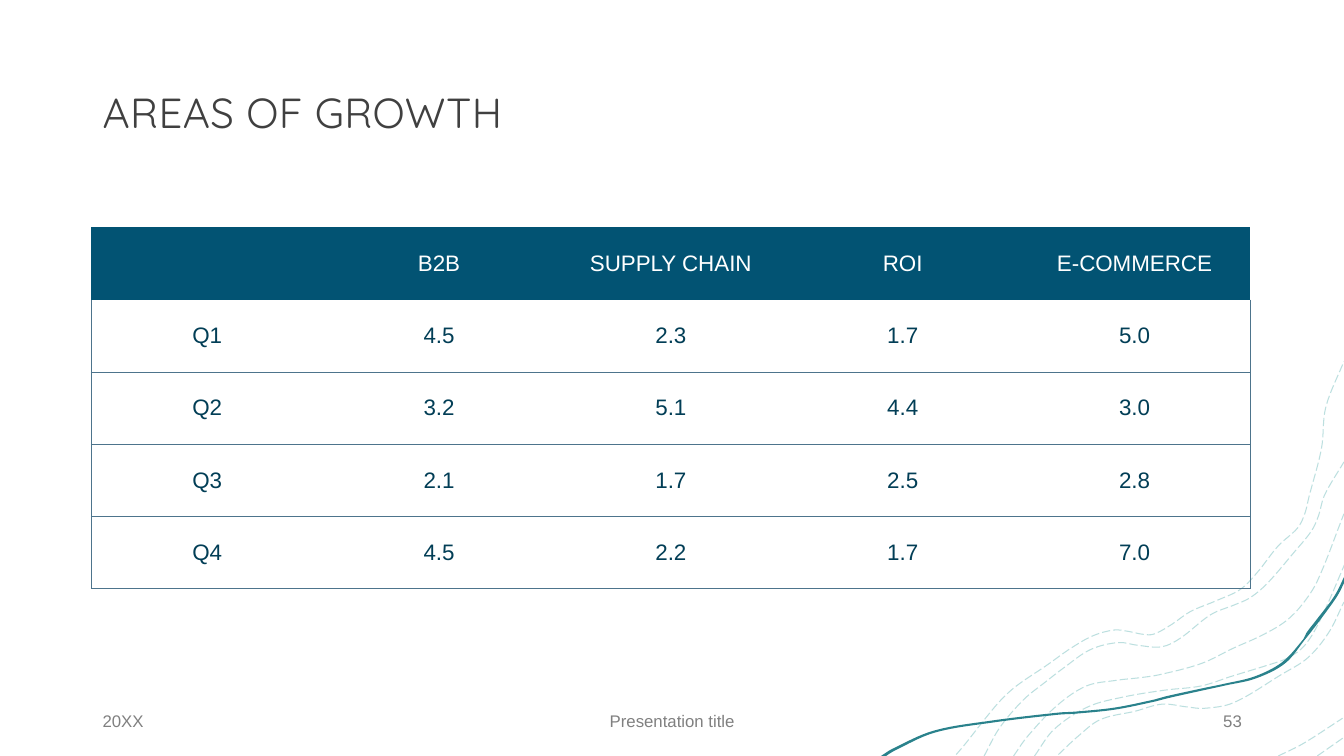
from math import dist
from lxml.etree import SubElement
from pptx import Presentation
from pptx.dml.color import RGBColor
from pptx.enum.dml import MSO_LINE
from pptx.enum.text import MSO_ANCHOR as Anchor, PP_ALIGN as Align
from pptx.oxml.ns import qn
from pptx.util import Pt

# Content
TITLE = "AREAS OF GROWTH"
TABLE = [
    ("", "B2B", "SUPPLY CHAIN", "ROI", "E-COMMERCE"),
    ("Q1", "4.5", "2.3", "1.7", "5.0"),
    ("Q2", "3.2", "5.1", "4.4", "3.0"),
    ("Q3", "2.1", "1.7", "2.5", "2.8"),
    ("Q4", "4.5", "2.2", "1.7", "7.0"),
]
FOOTERS = [  # text, left, width, alignment
    ("20XX", 66.2, 216, Align.LEFT),
    ("Presentation title", 318.2, 324, Align.CENTER),
    ("53", 678.2, 216, Align.RIGHT),
]

# Points that each contour line passes through
CONTOURS = [
    [(683, 539), (689, 532), (704, 513), (715, 500), (726, 490), (748, 475),
     (765, 463), (781, 454), (796, 450), (806, 451), (816, 453), (824, 453),
     (837, 446), (850, 437), (869, 429), (886, 421), (898, 409), (913, 390),
     (927, 377), (932, 367), (935, 355), (944, 320), (947, 291), (960, 258)],
    [(703, 540), (714, 520), (731, 500), (747, 487), (760, 477), (779, 464),
     (799, 459), (813, 461), (830, 462), (843, 456), (865, 439), (882, 432),
     (893, 427), (905, 417), (924, 395), (937, 379), (942, 368), (946, 354),
     (960, 330)],
    [(941, 540), (961, 526)],
    [(913, 540), (931, 531), (959, 513)],
    [(756, 539), (770, 526), (786, 514), (811, 508), (830, 503), (848, 505),
     (860, 506), (881, 502), (915, 482), (934, 470), (949, 452), (960, 430)],
    [(739, 540), (753, 521), (777, 505), (802, 498), (832, 493), (858, 490),
     (880, 483), (906, 475), (920, 470), (932, 461), (943, 443), (961, 402)],
    [(724, 540), (734, 526), (755, 504), (776, 490), (797, 486), (815, 484),
     (828, 482), (858, 474), (881, 463), (901, 454), (918, 444), (930, 432),
     (941, 415), (960, 367)],
]
RIBBON_TOP = [
    (629.3, 540), (637.2, 535), (666.7, 522), (707.8, 514.8), (756, 509),
    (768.2, 508.3), (796.3, 505.4), (824.4, 499.7), (832.3, 497.5),
    (858.2, 491.8), (875.5, 488.2), (896.4, 483.1), (915.8, 473),
    (931, 456.5), (933.1, 452.2), (940.3, 442.8), (953.3, 425.5),
    (961.2, 409.7)]
RIBBON_BOTTOM = [
    (961.2, 414), (955.4, 425.5), (942.5, 443.5), (935.3, 452.9),
    (932.4, 456.5), (918, 473.8), (897.1, 484.6), (875.5, 489.6),
    (859, 493.2), (833, 499), (825, 501.1), (796.3, 506.9), (768.2, 509.8),
    (756, 510.5), (708.5, 516.2), (667.4, 523.4), (638.6, 536.4),
    (632.9, 540)]

THEME = {
    "title": "404040", "footer": "808080", "header": "025373",
    "header_text": "FFFFFF", "body_text": "023E56", "border": "4D748C",
    "contour": "41A6A6", "ribbon": "2A828C",
    "title_font": "Quicksand", "body_font": "Arial",
    "title_size": 30, "footer_size": 12, "table_size": 16,
}
SLIDE_W, SLIDE_H = 960, 540
TABLE_LEFT, TABLE_TOP, COLUMN_W, ROW_H = 65.2, 162.4, 165.6, 51.64


def color(name):
    return RGBColor.from_string(THEME[name])


def directions(knots):
    """Unit tangent at each knot, along the chord of its neighbours."""
    before, after = [knots[0], *knots[:-1]], [*knots[1:], knots[-1]]
    return [((b[0] - a[0]) / dist(a, b), (b[1] - a[1]) / dist(a, b))
            for a, b in zip(before, after)]


def bend(segments, knots):
    """Turn the line segments between the knots into smooth curves."""
    tangents = directions(knots)
    for i, segment in enumerate(segments):
        (x1, y1), (x2, y2) = knots[i:i + 2]
        (u1, v1), (u2, v2) = tangents[i:i + 2]
        reach = dist(knots[i], knots[i + 1]) / 3
        segment.tag = qn("a:cubicBezTo")
        controls = [(x1 + u1 * reach, y1 + v1 * reach),
                    (x2 - u2 * reach, y2 - v2 * reach)]
        for n, (x, y) in enumerate(controls):
            point = SubElement(segment, qn("a:pt"), x=str(round(x)), y=str(round(y)))
            segment.insert(n, point)


def add_curve(edges, close):
    knots = [(Pt(x), Pt(y)) for edge in edges for x, y in edge]
    builder = slide.shapes.build_freeform(*knots[0])
    builder.add_line_segments(knots[1:], close=close)
    shape = builder.convert_to_shape()
    shape.shadow.inherit = False
    local = [(x - shape.left, y - shape.top) for x, y in knots]
    segments = list(shape._element.iter(qn("a:lnTo")))
    first = 0
    for edge in edges:
        last = first + len(edge) - 1
        bend(segments[first:last], local[first:last + 1])
        first = last + 1
    return shape


def write(frame, text, size, font, ink, align):
    paragraph = frame.paragraphs[0]
    paragraph.alignment = align
    run = paragraph.add_run()
    run.text = text
    run.font.name = THEME[font]
    run.font.size = Pt(THEME[size])
    run.font.color.rgb = color(ink)
    return paragraph, run


def add_text(box, *content):
    shape = slide.shapes.add_textbox(*map(Pt, box))
    shape.text_frame.word_wrap = True
    shape.text_frame.vertical_anchor = Anchor.MIDDLE
    return write(shape.text_frame, *content)


def add_border(cell, side):
    line = SubElement(cell._tc.get_or_add_tcPr(), qn("a:ln" + side), w=str(Pt(0.5)))
    fill = SubElement(line, qn("a:solidFill"))
    SubElement(fill, qn("a:srgbClr"), val=THEME["border"])


presentation = Presentation()
presentation.slide_width, presentation.slide_height = Pt(SLIDE_W), Pt(SLIDE_H)
slide = presentation.slides.add_slide(presentation.slide_layouts[6])

# Dashed contour lines
for knots in CONTOURS:
    contour = add_curve([knots], close=False)
    contour.fill.background()
    contour.line.color.rgb = color("contour")
    contour.line.width = Pt(0.75)
    contour.line.dash_style = MSO_LINE.LONG_DASH
    ink = contour.line._ln.find(".//" + qn("a:srgbClr"))
    SubElement(ink, qn("a:alpha"), val="35000")

# Solid ribbon
ribbon = add_curve([RIBBON_TOP, RIBBON_BOTTOM], close=True)
ribbon.fill.solid()
ribbon.fill.fore_color.rgb = color("ribbon")
ribbon.line.fill.background()

# Title and footers
paragraph, run = add_text((66.2, 30.2, 864, 104.4), TITLE, "title_size",
                          "title_font", "title", Align.LEFT)
paragraph.line_spacing = 0.9
run.font._element.set("spc", "30")
for text, left, width, align in FOOTERS:
    add_text((left, 500.5, width, 28.8), text, "footer_size", "body_font",
             "footer", align)

# Table
row_count, column_count = len(TABLE), len(TABLE[0])
table = slide.shapes.add_table(
    row_count, column_count, Pt(TABLE_LEFT), Pt(TABLE_TOP),
    Pt(COLUMN_W * column_count), Pt(ROW_H * row_count)).table
plain_style = "{2D5ABB26-0587-4C30-8999-92F81FD0307C}"
table._tbl.tblPr.find(qn("a:tableStyleId")).text = plain_style
table.horz_banding = False
for column in table.columns:
    column.width = Pt(COLUMN_W)
for r, values in enumerate(TABLE):
    table.rows[r].height = Pt(ROW_H)
    for c, value in enumerate(values):
        cell = table.cell(r, c)
        cell.vertical_anchor = Anchor.MIDDLE
        if r == 0:
            cell.fill.solid()
            cell.fill.fore_color.rgb = color("header")
        else:
            sides = "L" * (c == 0) + "R" * (c == column_count - 1) + "B"
            for side in sides:
                add_border(cell, side)
            cell.fill.background()
        if value:
            write(cell.text_frame, value, "table_size", "body_font",
                  "body_text" if r else "header_text", Align.CENTER)

presentation.save("out.pptx")
